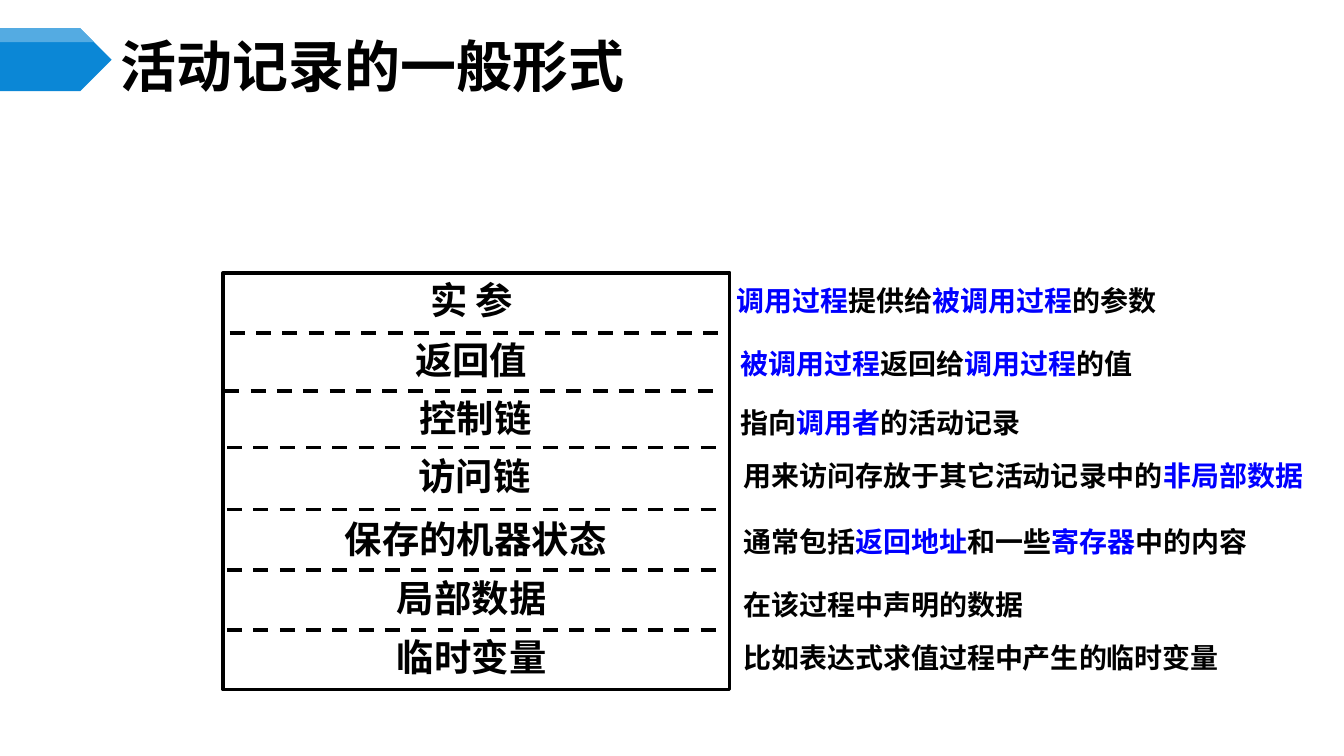
from dataclasses import dataclass

import pptx
import pptx.dml.color
import pptx.enum.dml
import pptx.enum.shapes
import pptx.enum.text
import pptx.oxml.ns
import pptx.util
from lxml import etree

Pt = pptx.util.Pt
RGB = pptx.dml.color.RGBColor
ALIGN = pptx.enum.text.PP_ALIGN
ANCHOR = pptx.enum.text.MSO_ANCHOR
SHAPE = pptx.enum.shapes.MSO_SHAPE


@dataclass(frozen=True)
class Theme:
    font: str = "Noto Sans CJK SC"
    text: RGB = RGB(0x00, 0x00, 0x00)
    emphasis: RGB = RGB(0x00, 0x00, 0xFF)
    plate: RGB = RGB(0x0B, 0x87, 0xD6)
    plate_light: RGB = RGB(0x54, 0xAB, 0xE2)
    title_size: int = 30
    label_size: int = 20
    note_size: int = 15
    line_width: int = 2


THEME = Theme()

# Label, its left and top; note with *emphasis*, its left, top and width
FIELDS = [
    ("实 参", 125.3, 141.8, "*调用过程*提供给*被调用过程*的参数", 387.4, 148.3, 239.8),
    ("返回值", 125, 174.2, "*被调用过程*返回给*调用过程*的值", 389.5, 182.2, 226.8),
    ("控制链", 127.4, 205.2, "指向*调用者*的活动记录", 389.5, 213.8, 222.5),
    ("访问链", 126.7, 236.2, "用来访问存放于其它活动记录中的*非局部数据*", 391, 241.9, 329),
    ("保存的机器状态", 127.4, 270, "通常包括*返回地址*和一些*寄存器*中的内容", 391, 277.2, 302.4),
    ("局部数据", 125.3, 301.7, "在该过程中声明的数据", 391, 311, 175.7),
    ("临时变量", 125.3, 333.4, "比如表达式求值过程中产生的临时变量", 391, 339.8, 275.8),
]

# Left, right and height of each dashed line
DIVIDERS = [
    (123.1, 387.4, 178.6),
    (120.2, 385.9, 209.5),
    *((121.7, 387.4, y) for y in (239.8, 272.9, 305.3, 337.7)),
]


def set_all(target, values):
    for name, value in values.items():
        setattr(target, name, value)


def add_text(slide, box, text, size, margins, align=ALIGN.LEFT, anchor=ANCHOR.TOP):
    """Add a text box; parts between asterisks get the emphasis colour."""
    frame = slide.shapes.add_textbox(*map(Pt, box)).text_frame
    left, top, right, bottom = map(Pt, margins)
    set_all(frame, {
        "word_wrap": True, "vertical_anchor": anchor,
        "margin_left": left, "margin_top": top,
        "margin_right": right, "margin_bottom": bottom,
    })
    paragraph = frame.paragraphs[0]
    paragraph.alignment = align
    for index, part in enumerate(text.split("*")):
        if not part:
            continue
        run = paragraph.add_run()
        run.text = part
        set_all(run.font, {"name": THEME.font, "size": Pt(size), "bold": True})
        run.font.color.rgb = THEME.emphasis if index % 2 else THEME.text
        east_asian = etree.SubElement(
            run.font._element, pptx.oxml.ns.qn("a:ea"))
        east_asian.set("typeface", THEME.font)


def fill_plain(shape, color):
    shape.shadow.inherit = False
    shape.fill.solid()
    shape.fill.fore_color.rgb = color
    shape.line.fill.background()


def add_title(slide):
    plate = slide.shapes.add_shape(
        SHAPE.PENTAGON, Pt(0), Pt(15.1), Pt(59.8), Pt(33.8))
    fill_plain(plate, THEME.plate)
    builder = slide.shapes.build_freeform(Pt(0), Pt(15.1))
    builder.add_line_segments(
        [(Pt(x), Pt(y)) for x, y in ((42.9, 15.1), (50.3, 22.5), (0, 22.5))])
    fill_plain(builder.convert_to_shape(), THEME.plate_light)
    add_text(slide, (59.8, 20.9, 624.2, 28.1), "活动记录的一般形式",
             THEME.title_size, (5, 2.9, 5, 2.9), anchor=ANCHOR.MIDDLE)


def add_frame(slide):
    frame = slide.shapes.add_shape(
        SHAPE.RECTANGLE, Pt(119.5), Pt(146.2), Pt(271.4), Pt(223.2))
    frame.shadow.inherit = False
    frame.fill.background()
    frame.line.color.rgb = THEME.text
    frame.line.width = Pt(THEME.line_width)


def add_divider(slide, left, right, y):
    divider = slide.shapes.add_connector(
        pptx.enum.shapes.MSO_CONNECTOR.STRAIGHT, Pt(left), Pt(y), Pt(right), Pt(y))
    divider.line.color.rgb = THEME.text
    set_all(divider.line, {
        "width": Pt(THEME.line_width),
        "dash_style": pptx.enum.dml.MSO_LINE.DASH,
    })
    etree.SubElement(divider._element.spPr, pptx.oxml.ns.qn("a:effectLst"))


def add_field(slide, label, left, top, note, note_left, note_top, note_width):
    add_text(slide, (left, top, 254.9, 38.2), label, THEME.label_size,
             (7.2, 6.5, 7.2, 3.6), align=ALIGN.CENTER)
    add_text(slide, (note_left, note_top, note_width, 25.2), note,
             THEME.note_size, (7.2, 3.6, 7.2, 3.6))


def main():
    presentation = pptx.Presentation()
    set_all(presentation, {"slide_width": Pt(720), "slide_height": Pt(405)})
    slide = presentation.slides.add_slide(presentation.slide_layouts[6])
    add_title(slide)
    add_frame(slide)
    for divider in DIVIDERS:
        add_divider(slide, *divider)
    for field in FIELDS:
        add_field(slide, *field)
    presentation.save("out.pptx")


if __name__ == "__main__":
    main()
